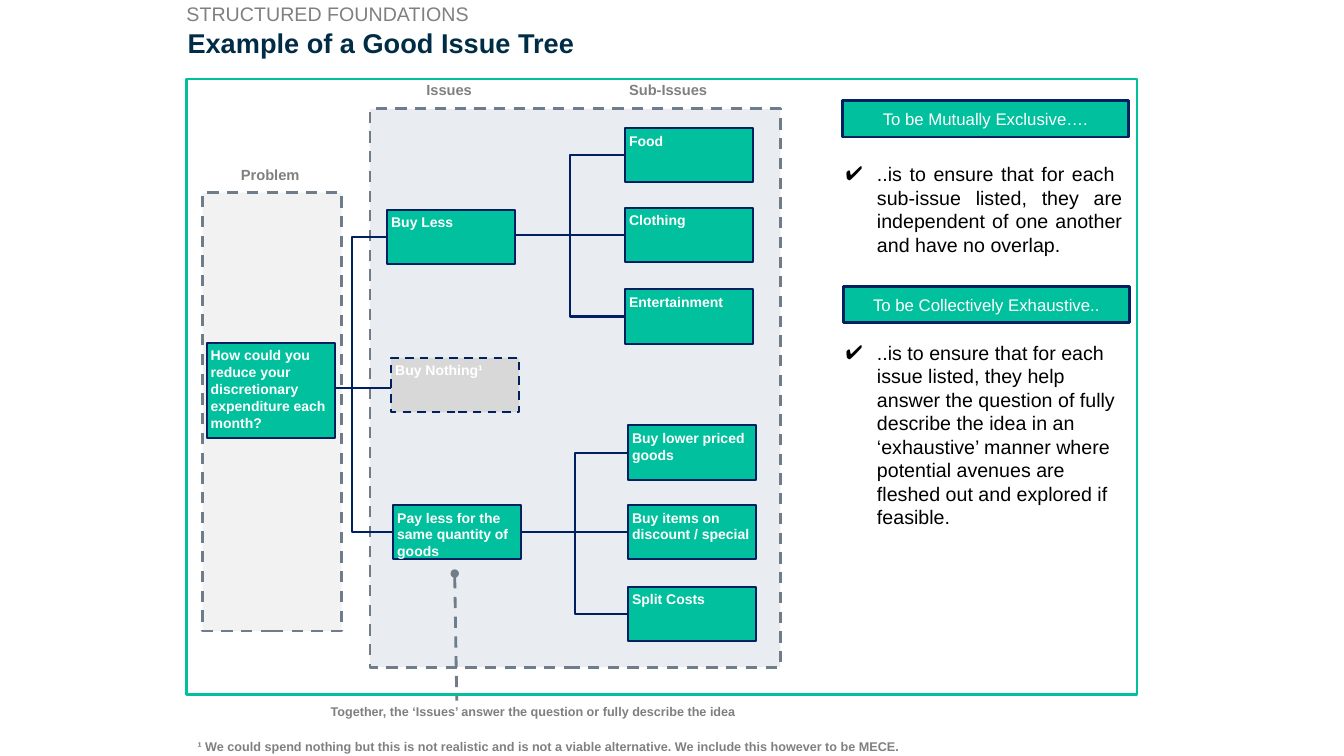
"""Build the issue tree slide."""
from copy import deepcopy

from pptx import Presentation
from pptx.dml.color import RGBColor
from pptx.enum.dml import MSO_LINE
from pptx.enum.shapes import MSO_CONNECTOR, MSO_SHAPE
from pptx.enum.text import MSO_ANCHOR, MSO_AUTO_SIZE, PP_ALIGN
from pptx.oxml.ns import qn
from pptx.oxml.xmlchemy import OxmlElement
from pptx.util import Emu, Pt

DASH = MSO_LINE.DASH
RECTANGLE = MSO_SHAPE.RECTANGLE
STRAIGHT, ELBOW = MSO_CONNECTOR.STRAIGHT, MSO_CONNECTOR.ELBOW
TOP, MIDDLE = MSO_ANCHOR.TOP, MSO_ANCHOR.MIDDLE
LEFT, CENTER, JUSTIFY = PP_ALIGN.LEFT, PP_ALIGN.CENTER, PP_ALIGN.JUSTIFY
NO_AUTOSIZE = MSO_AUTO_SIZE.NONE
LEFT_SIDE = 1
EMU_PER_PX = 9144
GREEN, NAVY, WHITE, BLACK = "00C09D", "002060", "FFFFFF", "000000"
GRAY, SLATE = "808080", "6F7C8A"
NODE_WIDTH, NODE_HEIGHT = 127, 54


def px(length):
    """Turn px into EMU."""
    return Emu(int(length * EMU_PER_PX))


def rgb(value):
    """Turn a hex string into a colour."""
    return RGBColor.from_string(value)


def add_element(parent, tag, **attributes):
    """Append an XML element with attributes."""
    element = OxmlElement(tag)
    for name, value in attributes.items():
        element.set(name, value)
    parent.append(element)
    return element


class IssueTreePage:
    """Holds the style and the current slide."""

    def __init__(self, deck, font_name="Arial"):
        """Add a title-only page to the deck."""
        self.font_name = font_name
        self.page = deck.slides.add_slide(deck.slide_layouts[5])

    def fill_text(self, box, text, size, color, bold=False, align=LEFT,
                  anchor=TOP, insets=(0, 0), wrap=True):
        """Fill a box with one formatted paragraph."""
        across, down = map(px, insets)
        frame = box.text_frame
        frame_format = {
            "margin_left": across, "margin_right": across,
            "margin_top": down, "margin_bottom": down,
            "vertical_anchor": anchor, "word_wrap": wrap,
            "auto_size": NO_AUTOSIZE,
        }
        for name, value in frame_format.items():
            setattr(frame, name, value)
        para = frame.paragraphs[0]
        para.text = text
        para.alignment = align
        span_format = {"name": self.font_name, "size": Pt(size), "bold": bold}
        for span in para.runs:
            for name, value in span_format.items():
                setattr(span.font, name, value)
            span.font.color.rgb = rgb(color)
        for line_break in para._p.findall(qn("a:br")):
            line_break.insert(0, deepcopy(para.runs[0]._r.rPr))
        return para

    def title(self, text, area):
        """Place and format the title placeholder."""
        box = self.page.shapes.title
        box.left, box.top, box.width, box.height = map(px, area)
        self.fill_text(box, text, 19.4, "002C46", bold=True, anchor=MIDDLE)

    def label(self, text, area, size=10.5, color=GRAY, bold=True):
        """Add a one-line label."""
        box = self.page.shapes.add_textbox(*map(px, area))
        self.fill_text(box, text, size, color, bold=bold, wrap=False)

    def panel(self, area, fill, line, width, dash=None):
        """Add a rectangle."""
        box = self.page.shapes.add_shape(RECTANGLE, *map(px, area))
        box.shadow.inherit = False
        box.fill.solid()
        box.fill.fore_color.rgb = rgb(fill)
        box.line.color.rgb = rgb(line)
        box.line.width = Pt(width)
        box.line.dash_style = dash
        return box

    def node(self, text, left, top, height=NODE_HEIGHT, fill=GREEN, dash=None):
        """Add a box of the tree."""
        box = self.panel((left, top, NODE_WIDTH, height), fill, NAVY, 1.5, dash)
        self.fill_text(box, text, 10, WHITE, bold=True, insets=(4, 4))
        return box

    def header(self, text, left, top):
        """Add a heading bar."""
        box = self.panel((left, top, 283, 36), GREEN, NAVY, 2)
        self.fill_text(box, text, 12, WHITE, align=CENTER, anchor=MIDDLE, insets=(10, 5))

    def check_item(self, text, area, align):
        """Add a text with a check mark bullet."""
        box = self.page.shapes.add_textbox(*map(px, area))
        para = self.fill_text(box, text, 14, BLACK, align=align, insets=(10, 5))
        settings = para._p.get_or_add_pPr()
        settings.set("marL", str(px(31)))
        settings.set("indent", str(-px(31)))
        add_element(add_element(settings, "a:buClr"), "a:srgbClr", val=BLACK)
        add_element(settings, "a:buFont", typeface=self.font_name)
        add_element(settings, "a:buChar", char="✔")

    def connector(self, start, end, kind=STRAIGHT, color=NAVY, width=1.5,
                  dash=None, head=None, corner=False, target=None):
        """Add a line, joined to the left side of a target if given."""
        link = self.page.shapes.add_connector(kind, *map(px, (*start, *end)))
        link.line.color.rgb = rgb(color)
        link.line.width = Pt(width)
        link.line.dash_style = dash
        properties = link._element.spPr
        if head:
            add_element(properties.find(qn("a:ln")), "a:headEnd", type=head)
        if corner:
            properties.find(qn("a:prstGeom")).set("prst", "bentConnector2")
        add_element(properties, "a:effectLst")
        if target is not None:
            link.end_connect(target, LEFT_SIDE)

    def branch(self, issue_right, left, tops, names):
        """Add three sub-issues and the lines from their issue."""
        boxes = [self.node(name, left, top) for name, top in zip(names, tops)]
        middle = tops[1] + NODE_HEIGHT // 2
        for top in (tops[0], tops[2]):
            self.connector((left, top + NODE_HEIGHT // 2), (issue_right, middle), ELBOW)
        self.connector(((issue_right + left) // 2, middle), (left, middle),
                       target=boxes[1])


def main():
    """Build and save the deck."""
    deck = Presentation()
    deck.slide_width, deck.slide_height = px(1333), px(750)
    tree = IssueTreePage(deck)

    tree.panel((185, 78, 943, 611), WHITE, GREEN, 1.5)
    tree.panel((201, 191, 138, 435), "F2F2F2", SLATE, 2, DASH)
    tree.panel((367, 108, 407, 554), "E9EDF1", SLATE, 2, DASH)
    tree.title("Example of a Good Issue Tree", (186, 26, 962, 33))
    tree.label("STRUCTURED FOUNDATIONS", (185, 2, 284, 24), size=14, bold=False)
    for text, left, top, width in (("Problem", 239, 164, 59), ("Issues", 423, 80, 46),
                                   ("Sub-Issues", 624, 80, 79)):
        tree.label(text, (left, top, width, 18))

    tree.node("How could you reduce your discretionary expenditure each month?",
              205, 340, height=95)
    tree.node("Buy Less", 384, 208)
    tree.node("Buy Nothing¹", 388, 355, fill="D8D8D8", dash=DASH)
    tree.node("Pay less for the same quantity of goods", 390, 501)
    tree.connector((333, 385), (349, 385))
    tree.connector((349, 385), (388, 385))
    for left, middle in ((384, 235), (390, 528)):
        tree.connector((left, middle), (349, 385), ELBOW, corner=True)
    tree.branch(510, 620, (127, 206, 287), ("Food", "Clothing", "Entertainment"))
    tree.branch(517, 623, (422, 501, 582),
                ("Buy lower priced goods", "Buy items on discount / special", "Split Costs"))

    tree.connector((451, 569), (453, 695), color=SLATE, width=2, dash=DASH, head="oval")
    tree.label("Together, the ‘Issues’ answer the question or fully describe the idea",
               (328, 698, 406, 15), size=9, color="7F7F7F")
    tree.label("¹ We could spend nothing but this is not realistic and is not a viable "
               "alternative. We include this however to be MECE.",
               (196, 733, 706, 15), size=9)

    tree.header("To be Mutually Exclusive….", 836, 100)
    tree.check_item("..is to ensure that for each \vsub-issue listed, they are independent "
                    "of one another and have no overlap. ", (829, 156, 294, 128), JUSTIFY)
    tree.header("To be Collectively Exhaustive..", 837, 284)
    tree.check_item("..is to ensure that for each \vissue listed, they help answer the "
                    "question of fully describe the idea in an ‘exhaustive’ manner where "
                    "potential avenues are fleshed out and explored if feasible.",
                    (829, 333, 294, 199), LEFT)
    deck.save("out.pptx")


if __name__ == "__main__":
    main()
